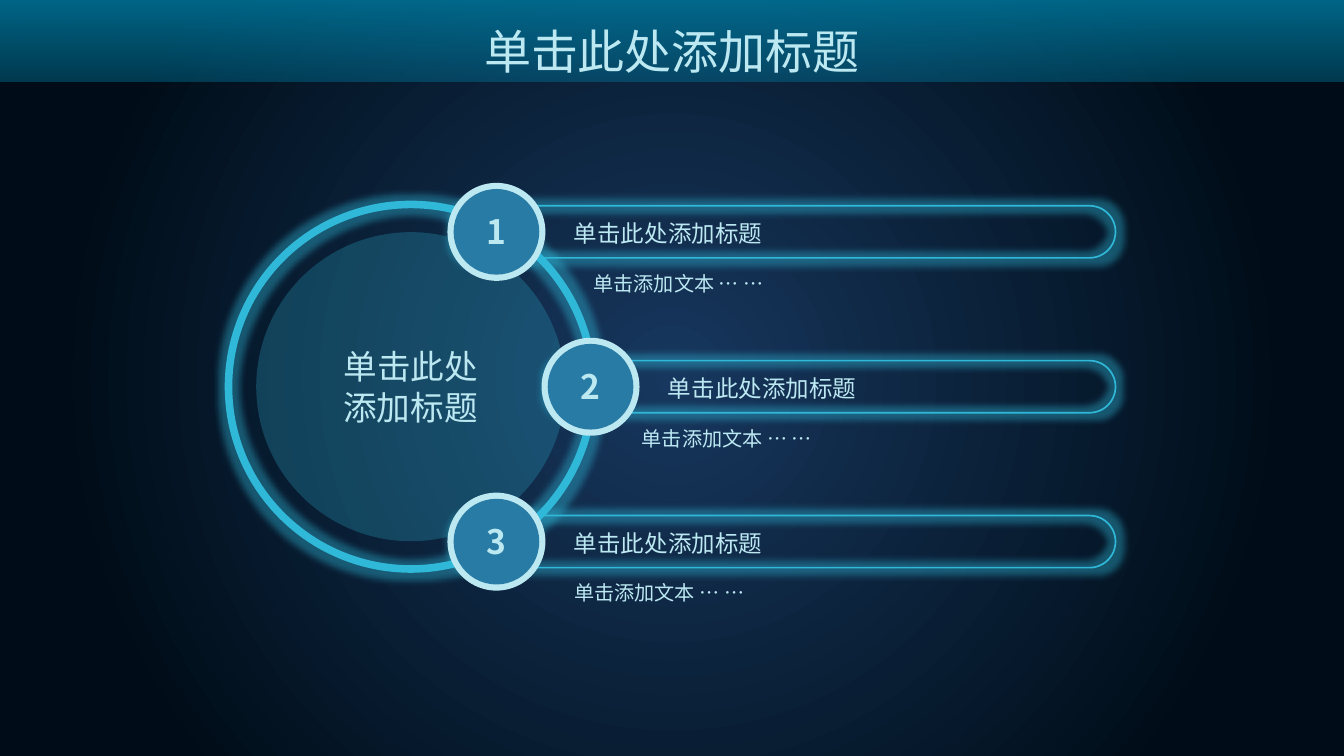
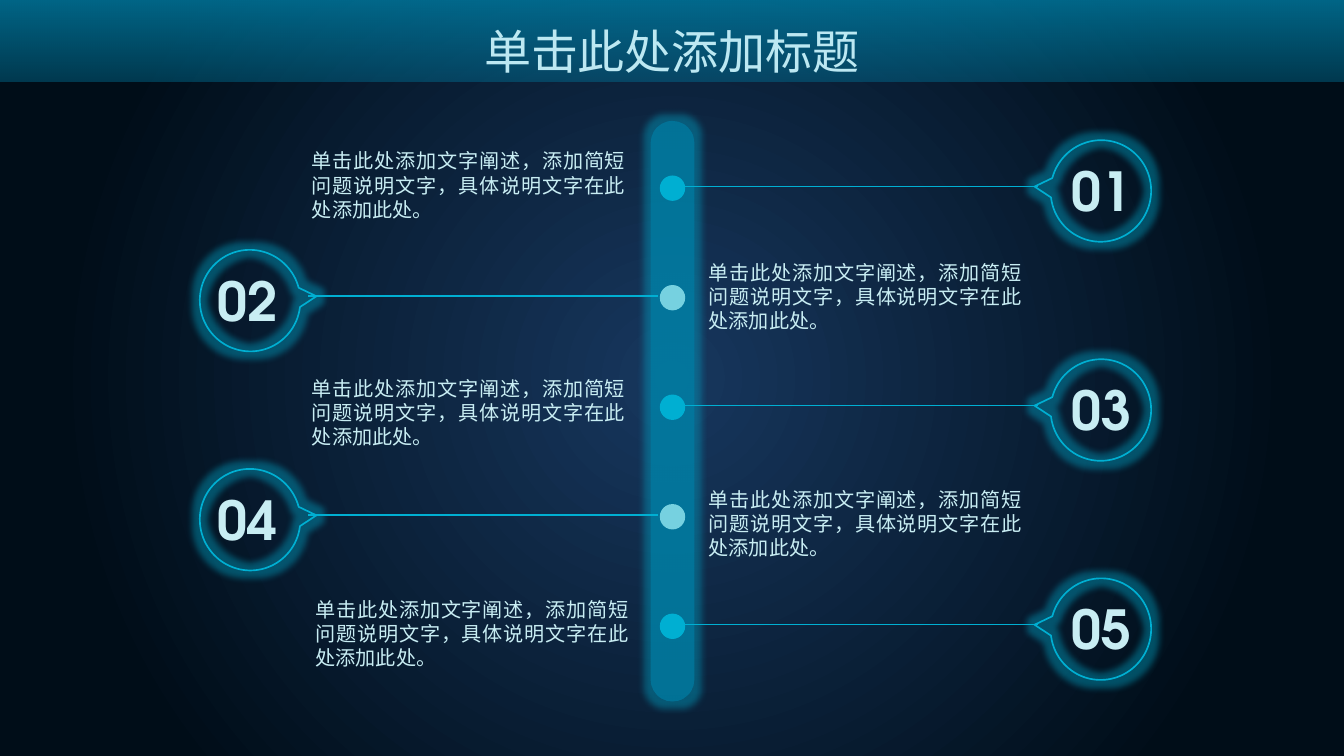
from dataclasses import dataclass

from lxml.etree import SubElement
from pptx import Presentation
from pptx.dml.color import RGBColor
from pptx.enum.shapes import MSO_CONNECTOR, MSO_SHAPE
from pptx.enum.text import MSO_ANCHOR, MSO_AUTO_SIZE, PP_ALIGN
from pptx.oxml.ns import qn
from pptx.util import Pt


@dataclass(frozen=True)
class Theme:
    """Colours, fonts and type sizes of the deck."""
    navy: str = "17375E"
    night: str = "000D18"
    teal: str = "007DA4"
    sky: str = "30B8D8"
    cyan: str = "00AFD2"
    aqua: str = "76D1E0"
    blue: str = "046091"
    edge: str = "4EC3DE"
    pale: str = "BCE8F2"
    ice: str = "C8EDF3"
    sans: str = "Noto Sans CJK SC"
    round: str = "TeX Gyre Adventor"
    title: int = 28
    mark: int = 32
    hub: int = 20
    head: int = 14
    body: int = 12


T = Theme()
WIDE, HIGH, BAND = 800, 450, 48.3
TITLE = "单击此处添加标题"
NOTE = "单击添加文本 … …"
BODY = "单击此处添加文字阐述，添加简短问题说明文字，具体说明文字在此处添加此处。"


def tint(color, alpha):
    """Set the opacity of a colour element, in percent."""
    SubElement(color, qn("a:alpha")).set("val", str(alpha * 1000))


def blend(fill, host, stops, angle=None):
    """Paint a gradient: straight at an angle, or circular without one."""
    fill.gradient()
    grad = host.find(".//" + qn("a:gradFill"))
    grad.clear()
    grad.set("rotWithShape", "1")
    row = SubElement(grad, qn("a:gsLst"))
    for place, color, alpha in stops:
        stop = SubElement(row, qn("a:gs"))
        stop.set("pos", str(place * 1000))
        shade = SubElement(stop, qn("a:srgbClr"))
        shade.set("val", color)
        if alpha < 100:
            tint(shade, alpha)
    if angle is not None:
        SubElement(grad, qn("a:lin")).set("ang", str(angle * 60000))
        return
    ring = SubElement(grad, qn("a:path"))
    ring.set("path", "circle")
    rect = SubElement(ring, qn("a:fillToRect"))
    for side in "ltrb":
        rect.set(side, "50000")


def shape(slide, kind, box, fill=None, alpha=100, line=None, width=1, glow=None):
    """Add a preset shape with optional fill, outline and glow."""
    item = slide.shapes.add_shape(kind, *map(Pt, box))
    item.shadow.inherit = False
    if fill:
        item.fill.solid()
        item.fill.fore_color.rgb = RGBColor.from_string(fill)
        if alpha < 100:
            tint(item.element.spPr.find(".//" + qn("a:srgbClr")), alpha)
    else:
        item.fill.background()
    if line:
        item.line.color.rgb = RGBColor.from_string(line)
        item.line.width = Pt(width)
    else:
        item.line.fill.background()
    if glow:
        halo = SubElement(item.element.spPr.find(qn("a:effectLst")), qn("a:glow"))
        halo.set("rad", str(Pt(8)))
        shade = SubElement(halo, qn("a:srgbClr"))
        shade.set("val", glow)
        tint(shade, 40)
    return item


def disc(slide, x, y, size, **look):
    """Add a circle about a centre."""
    box = (x - size / 2, y - size / 2, size, size)
    return shape(slide, MSO_SHAPE.OVAL, box, **look)


def pill(slide, box, **look):
    """Add a bar with fully round ends."""
    item = shape(slide, MSO_SHAPE.ROUNDED_RECTANGLE, box, **look)
    item.adjustments[0] = 0.5


def write(frame, words, size, color, align, face=T.sans, bold=False):
    """Put one styled run in the first paragraph."""
    frame.word_wrap = True
    para = frame.paragraphs[0]
    para.alignment = align
    run = para.add_run()
    run.text = words
    font = run.font
    font.size, font.bold, font.name = Pt(size), bold, face
    font.color.rgb = RGBColor.from_string(color)
    SubElement(run._r.get_or_add_rPr(), qn("a:ea")).set("typeface", face)
    return run


def label(slide, box, words, size, color, align=PP_ALIGN.LEFT, space=None, **look):
    """Add a text box that grows with its text."""
    frame = slide.shapes.add_textbox(*map(Pt, box)).text_frame
    write(frame, words, size, color, align, **look)
    frame.auto_size = MSO_AUTO_SIZE.SHAPE_TO_FIT_TEXT
    if space:
        frame.paragraphs[0].line_spacing = space


def wire(slide, start, end, y):
    """Draw a level line."""
    item = slide.shapes.add_connector(
        MSO_CONNECTOR.STRAIGHT, Pt(start), Pt(y), Pt(end), Pt(y))
    item.line.color.rgb = RGBColor.from_string(T.cyan)
    item.line.width = Pt(1)
    SubElement(item.element.spPr, qn("a:effectLst"))


def dress(master, slide):
    """Give the master its backdrop and its top band."""
    blend(master.background.fill, master.element,
          [(0, T.navy, 100), (80, T.night, 100)])
    band = shape(slide, MSO_SHAPE.RECTANGLE, (0, 0, WIDE, BAND))
    blend(band.fill, band.element, [(0, T.teal, 80), (100, T.teal, 39)], 90)
    band.element.nvSpPr.cNvPr.set("id", "99")
    master.element.cSld.spTree.insert(2, band.element)


def head(slide):
    """Place and style the slide title."""
    title = slide.shapes.title
    title.left, title.top, title.width, title.height = map(Pt, (247.5, 6, 305, 48))
    frame = title.text_frame
    frame.auto_size = MSO_AUTO_SIZE.NONE
    frame.vertical_anchor = MSO_ANCHOR.MIDDLE
    run = write(frame, TITLE, T.title, T.pale, PP_ALIGN.CENTER)
    blend(run.font.fill, title.element,
          [(0, T.edge, 100), (40, T.pale, 100), (60, T.pale, 100), (100, T.edge, 100)], 0)


def hub(slide, x, y, size):
    """Draw the large ring with its caption."""
    disc(slide, x, y, size, line=T.sky, width=4.5, glow=T.sky)
    disc(slide, x, y, size - 33, fill=T.sky, alpha=25)
    label(slide, (x - 54, y - 27.7, 108, 55.4), TITLE, T.hub, T.pale, PP_ALIGN.CENTER)


def entry(slide, x, y, right, shift, mark):
    """Draw a numbered badge with its pill, heading and note."""
    left = x - 25.6
    pill(slide, (left, y - 15.5, right - left, 31), line=T.sky, glow=T.sky)
    label(slide, (x + 39, y - 11.2, 150.5, 24.2), TITLE, T.head, T.pale)
    label(slide, (x + shift, y + 19.8, right - x - shift, 21.8), NOTE, T.body, T.pale)
    disc(slide, x, y, 58.3, fill=T.pale)
    disc(slide, x, y, 51, fill=T.blue, alpha=80)
    label(slide, (x - 29.5, y - 16, 59, 31.7), mark, T.hub, T.pale,
          PP_ALIGN.CENTER, bold=True)


def orbit(slide):
    """Build the ring slide with three entries."""
    head(slide)
    x, y, step = 244.5, 230.2, 92.2
    hub(slide, x, y, 217)
    for spot, (reach, shift) in enumerate([(51, 50.7), (107, 23.4), (51, 39.2)]):
        entry(slide, x + reach, y + (spot - 1) * step, 664, shift, str(spot + 1))


def stop(slide, mid, y, side, mark):
    """Draw a dot, a line and a speech bubble on one side of the bar."""
    disc(slide, mid, y, 15.1, fill=T.cyan if side > 0 else T.aqua)
    near, far, hold, text = (5.5, 217.5, 254.9, 255.5) if side > 0 else (
        8.8, 216.7, 251.5, 252.7)
    wire(slide, mid + side * near, mid + side * far, y - 1)
    bubble = shape(slide, MSO_SHAPE.OVAL_CALLOUT,
                   (mid + side * hold - 30.2, y - 28.2, 60.5, 59.8),
                   line=T.cyan, glow=T.cyan)
    bubble.adjustments[0] = side * 0.113
    bubble.adjustments[1] = 0.652
    bubble.rotation = 180 - side * 76.3
    label(slide, (mid + side * text - 33.1, y - 14.2, 66.2, 38.2), mark, T.mark, T.ice,
          PP_ALIGN.CENTER, 0.8, face=T.round, bold=True)


def spine(slide):
    """Build the timeline slide with five stops."""
    head(slide)
    mid, top, step = 400.3, 112, 65.2
    pill(slide, (mid - 13, 72, 26, 345.6), fill=T.teal, alpha=70, glow=T.cyan)
    texts = [(178.6, 85), (414.7, 151.2), (178.6, 220.3), (414.7, 286.6), (180.7, 352.1)]
    for spot, (left, high) in enumerate(texts):
        side = -1 if spot % 2 else 1
        stop(slide, mid, top + spot * step, side, f"{spot + 1:02d}")
        label(slide, (left, high, 200.9, 51), BODY, T.body, T.ice, PP_ALIGN.JUSTIFY)


def main():
    """Build and save the deck."""
    deck = Presentation()
    deck.slide_width, deck.slide_height = Pt(WIDE), Pt(HIGH)
    plain = deck.slide_layouts[5]
    first, second = (deck.slides.add_slide(plain) for _ in range(2))
    dress(deck.slide_master, first)
    orbit(first)
    spine(second)
    deck.save("out.pptx")


if __name__ == "__main__":
    main()
